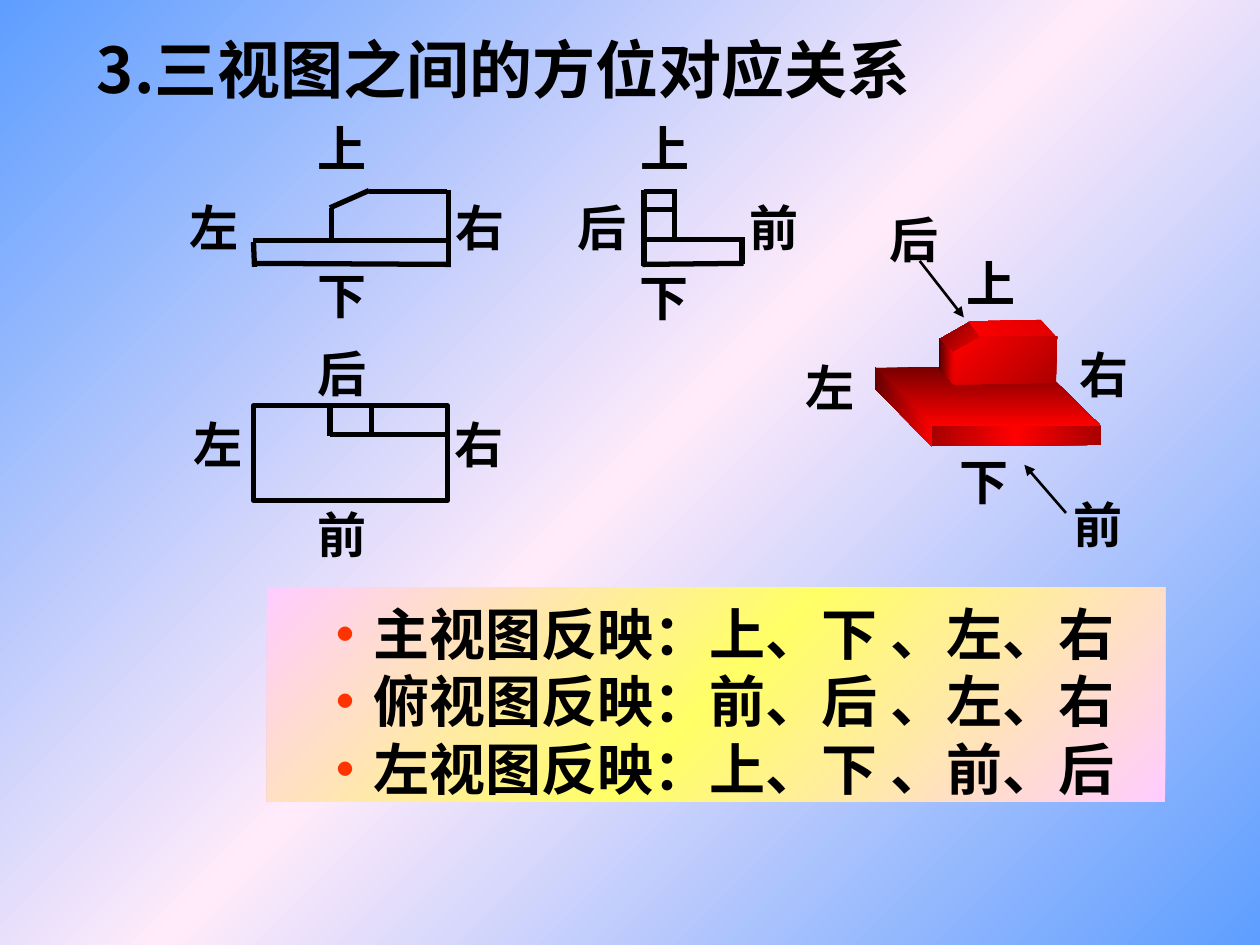
"""Build a slide on how directions correspond between the three orthographic views."""
from copy import deepcopy

from lxml import etree
from pptx import Presentation
from pptx import util as u
from pptx.dml import color
from pptx.enum import shapes, text
from pptx.oxml import ns

BLACK = color.RGBColor(0x00, 0x00, 0x00)
BULLET_RED = color.RGBColor(0xFF, 0x33, 0x00)
SKY = color.RGBColor(0x5E, 0x9E, 0xFF)
BLUSH = color.RGBColor(0xFF, 0xEB, 0xFA)
PINK = color.RGBColor(0xFF, 0xCC, 0xFF)
YELLOW = color.RGBColor(0xFF, 0xFF, 0x66)
RED = color.RGBColor(0xFF, 0x00, 0x00)
RED_DD = color.RGBColor(0xDD, 0x00, 0x00)
RED_AD = color.RGBColor(0xAD, 0x00, 0x00)
RED_A7 = color.RGBColor(0xA7, 0x00, 0x00)
RED_77 = color.RGBColor(0x77, 0x00, 0x00)
RED_75 = color.RGBColor(0x75, 0x00, 0x00)
RED_65 = color.RGBColor(0x65, 0x00, 0x00)
RED_4D = color.RGBColor(0x4D, 0x00, 0x00)
CJK_FONT = "Noto Sans CJK SC"


def add_run(paragraph, words, size, font_name, rgb):
    run = paragraph.add_run()
    run.text = words
    run.font.size = u.Pt(size)
    run.font.name = font_name
    run.font.bold = True
    run.font.color.rgb = rgb
    east_asian = etree.SubElement(run.font._element, ns.qn("a:ea"))
    east_asian.set("typeface", CJK_FONT)


def paint_gradient(fill, element, colors, clockwise_angle):
    fill.gradient()
    fill.gradient_angle = 360 - clockwise_angle
    stop_list = element.find(".//" + ns.qn("a:gsLst"))
    for _ in colors[2:]:
        stop_list.insert(1, deepcopy(stop_list[0]))
    for index, (stop, rgb) in enumerate(zip(fill.gradient_stops, colors)):
        stop.position = index / (len(colors) - 1)
        stop.color.rgb = rgb


presentation = Presentation()
presentation.slide_width = u.Cm(25.4)
presentation.slide_height = u.Cm(19.05)
slide = presentation.slides.add_slide(presentation.slide_layouts[1])
paint_gradient(slide.background.fill, slide._element, [SKY, BLUSH, SKY], 225)

title = slide.shapes.title
title.left, title.top, title.width, title.height = u.Cm(1.7), u.Cm(0.64), u.Cm(19.91), u.Cm(1.47)
title.text_frame.auto_size = text.MSO_AUTO_SIZE.NONE
title.text_frame.vertical_anchor = text.MSO_ANCHOR.MIDDLE
paragraph = title.text_frame.paragraphs[0]
paragraph.alignment = text.PP_ALIGN.LEFT
add_run(paragraph, "3.三视图之间的方位对应关系", 36, CJK_FONT, BLACK)

summary = slide.placeholders[1]
summary.left, summary.top, summary.width, summary.height = u.Cm(5.38), u.Cm(11.84), u.Cm(18.11), u.Cm(4.32)
paint_gradient(summary.fill, summary._element, [PINK, YELLOW, PINK], 225)
frame = summary.text_frame
frame.auto_size = text.MSO_AUTO_SIZE.NONE
frame.margin_top = u.Cm(0.25)
frame.margin_bottom = u.Cm(0)
summary_lines = ["主视图反映：上、下 、左、右", "俯视图反映：前、后 、左、右", "左视图反映：上、下 、前、后"]
for index, line in enumerate(summary_lines):
    paragraph = frame.add_paragraph() if index else frame.paragraphs[0]
    paragraph.alignment = text.PP_ALIGN.CENTER
    paragraph.space_before = u.Pt(0)
    paragraph.line_spacing = u.Pt(38.4)
    properties = paragraph._p.get_or_add_pPr()
    properties.set("marL", "0")
    properties.set("indent", "0")
    etree.SubElement(properties, ns.qn("a:buNone"))
    add_run(paragraph, "•", 32, "Arial", BULLET_RED)
    add_run(paragraph, line, 32, CJK_FONT, BLACK)

top_view = slide.shapes.add_shape(
    shapes.MSO_SHAPE.RECTANGLE, u.Cm(5.11), u.Cm(8.18), u.Cm(3.91), u.Cm(1.91))
top_view.shadow.inherit = False
top_view.fill.background()
top_view.line.color.rgb = BLACK
top_view.line.width = u.Pt(3)

direction_labels = [
    ("上", 6.15, 2.18), ("下", 6.15, 5.13), ("左", 3.58, 3.76), ("右", 8.94, 3.76),
    ("后", 6.15, 6.71), ("前", 6.15, 9.96), ("左", 3.66, 8.13), ("右", 8.92, 8.13),
    ("上", 12.67, 2.18), ("下", 12.65, 5.18), ("后", 11.4, 3.76), ("前", 14.86, 3.76),
    ("上", 19.23, 4.9), ("下", 19.1, 8.89), ("左", 15.98, 6.99), ("右", 21.51, 6.73),
    ("后", 17.68, 4.01), ("前", 21.39, 9.75),
]
for word, left, top in direction_labels:
    label = slide.shapes.add_textbox(u.Cm(left), u.Cm(top), u.Cm(1.5), u.Cm(1.45))
    label.text_frame.word_wrap = False
    label.text_frame.margin_top = u.Cm(0.22)
    label.text_frame.margin_bottom = u.Cm(0)
    paragraph = label.text_frame.paragraphs[0]
    paragraph.line_spacing = u.Pt(33.6)
    add_run(paragraph, word, 28, "Times New Roman", BLACK)

front_view_edges = [
    (9.09, 5.33, 5.11, 5.31), (5.13, 5.38, 5.11, 4.88), (9.04, 5.33, 9.04, 3.84),
    (9.02, 3.86, 7.44, 3.86), (6.68, 4.88, 6.68, 4.19), (6.65, 4.19, 7.44, 3.84),
    (5.11, 4.85, 9.07, 4.85),
]
top_view_edges = [(6.65, 8.76, 9.07, 8.76), (6.65, 8.79, 6.65, 8.2), (7.49, 8.2, 7.49, 8.76)]
side_view_edges = [
    (12.98, 5.36, 12.98, 3.84), (14.96, 5.33, 14.96, 4.83), (12.98, 4.83, 15.01, 4.83),
    (12.95, 5.33, 14.99, 5.31), (12.98, 3.86, 13.64, 3.86), (12.98, 4.22, 13.64, 4.22),
    (13.59, 3.81, 13.59, 4.83),
]
arrows = [(18.54, 5.26, 19.43, 6.4), (21.49, 10.34, 20.65, 9.37)]
for ends in front_view_edges + top_view_edges + side_view_edges + arrows:
    connector = slide.shapes.add_connector(
        shapes.MSO_CONNECTOR.STRAIGHT, *[u.Cm(value) for value in ends])
    connector.line.color.rgb = BLACK
    connector.line.width = u.Pt(1.5 if ends in arrows else 3)
    if ends in arrows:
        etree.SubElement(connector.line._get_or_add_ln(), ns.qn("a:tailEnd")).set("type", "triangle")
    etree.SubElement(connector._element.spPr, ns.qn("a:effectLst"))

solid_faces = [
    ([RED_77, RED], 90, [(18.92, 7.39), (19.2, 7.72), (21.29, 7.7), (22.2, 8.59), (18.77, 8.59), (17.63, 7.42)]),
    ([RED_A7, RED, RED_A7], 180, [(18.77, 8.59), (22.2, 8.59), (22.2, 8.97), (18.75, 8.99)]),
    ([RED, RED_65], 180, [(17.63, 7.39), (17.63, 7.82), (18.8, 9.02), (18.8, 8.59)]),
    ([RED, RED_4D], 180, [(18.92, 6.81), (18.92, 7.42), (19.25, 7.77), (19.25, 7.11)]),
    ([RED, RED_75], 225, [(18.95, 6.83), (19.53, 6.5), (19.81, 6.81), (19.23, 7.09)]),
    ([RED_DD, RED], 135, [(19.53, 6.48), (20.98, 6.45), (21.31, 6.81), (19.79, 6.83)]),
    ([RED_AD, RED], 225, [(19.23, 7.09), (19.23, 7.75), (21.29, 7.72), (21.31, 6.78), (19.79, 6.78)]),
]
solid = slide.shapes.add_group_shape()
for colors, angle, corners in solid_faces:
    points = [(u.Cm(x), u.Cm(y)) for x, y in corners]
    builder = solid.shapes.build_freeform(*points[0])
    builder.add_line_segments(points[1:], close=True)
    face = builder.convert_to_shape()
    face.shadow.inherit = False
    face.line.fill.background()
    paint_gradient(face.fill, face._element, colors, angle)

presentation.save("out.pptx")
